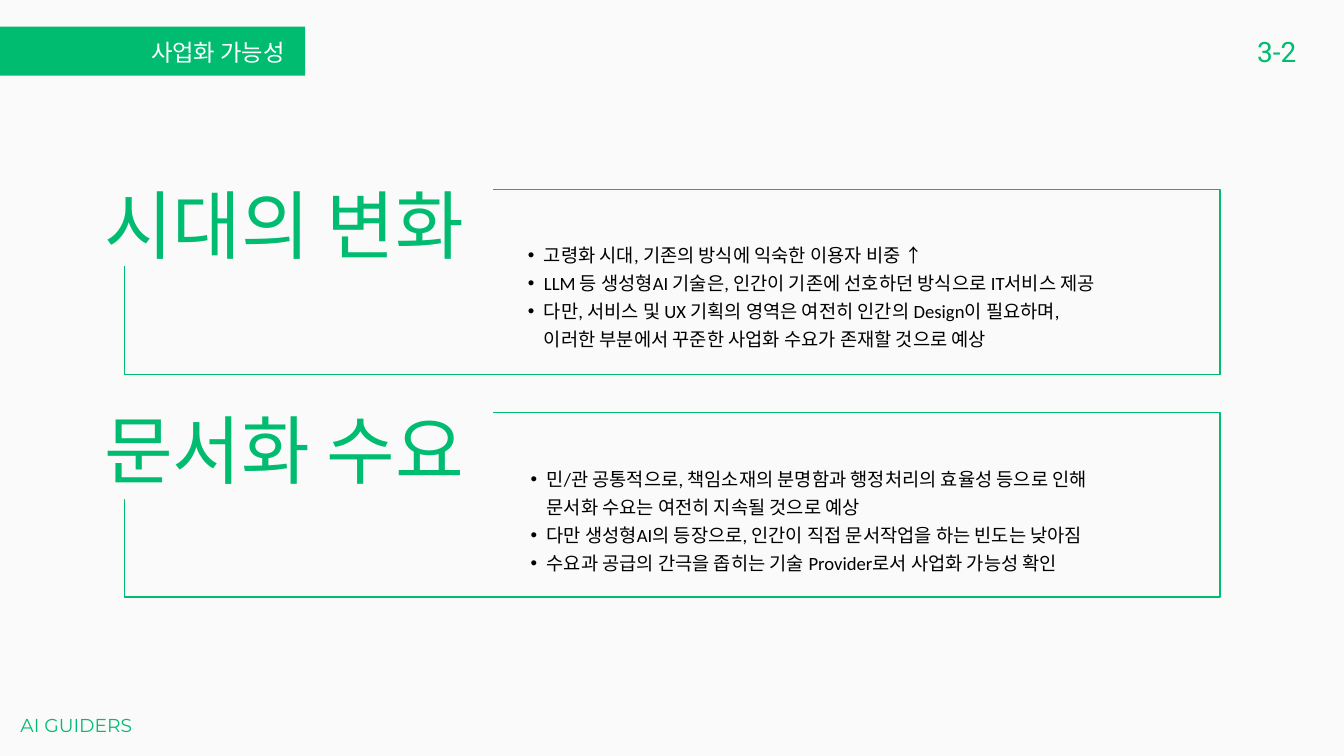
"""Build the slide on business potential: two framed topics with bullet points."""
import dataclasses

import lxml.etree
import pptx
import pptx.dml.color
import pptx.enum.shapes
import pptx.enum.text
import pptx.oxml.ns
import pptx.util

EMU_PER_PX = 9525
ALIGN = pptx.enum.text.PP_ALIGN


def px(length):
    return pptx.util.Emu(length * EMU_PER_PX)


@dataclasses.dataclass(frozen=True)
class Theme:
    green: str = "00BC70"
    paper: str = "FAFAFA"
    ink: str = "000000"
    white: str = "FFFFFF"
    heading_font: str = "Montserrat"
    label_font: str = "Roboto"
    body_font: str = "Calibri"
    heading_size: int = 80
    number_size: int = 30
    label_size: int = 25
    body_size: int = 20
    frame_width: float = 1.5


def rgb(code):
    return pptx.dml.color.RGBColor.from_string(code)


def write(paragraph, text, *, font, size, color, leading, align=ALIGN.LEFT):
    paragraph.text = text
    paragraph.alignment = align
    paragraph.line_spacing = pptx.util.Pt(leading)
    for run in paragraph.runs:
        run.font.name = font
        run.font.size = pptx.util.Pt(size)
        run.font.color.rgb = rgb(color)


class SlideBuilder:
    def __init__(self, slide, theme):
        self.slide = slide
        self.theme = theme
        slide.background.fill.solid()
        slide.background.fill.fore_color.rgb = rgb(theme.paper)

    def rectangle(self, box, fill=None, line=None):
        shape = self.slide.shapes.add_shape(
            pptx.enum.shapes.MSO_SHAPE.RECTANGLE, *map(px, box))
        shape.shadow.inherit = False
        if fill:
            shape.fill.solid()
            shape.fill.fore_color.rgb = rgb(fill)
        else:
            shape.fill.background()
        if line:
            shape.line.color.rgb = rgb(line)
            shape.line.width = pptx.util.Pt(self.theme.frame_width)
        else:
            shape.line.fill.background()

    def text_frame(self, box):
        frame = self.slide.shapes.add_textbox(*map(px, box)).text_frame
        frame.word_wrap = True
        frame.margin_left = frame.margin_right = 0
        frame.margin_top = frame.margin_bottom = 0
        return frame

    def label(self, box, text, **style):
        write(self.text_frame(box).paragraphs[0], text, **style)

    def bullets(self, box, points):
        frame = self.text_frame(box)
        for index, point in enumerate(points):
            paragraph = frame.add_paragraph() if index else frame.paragraphs[0]
            write(paragraph, point, font=self.theme.body_font,
                  size=self.theme.body_size, color=self.theme.ink, leading=30)
            paragraph.level = 1
            properties = paragraph._p.get_or_add_pPr()
            properties.set("marL", str(px(45)))
            properties.set("indent", str(px(-23)))
            for tag, key, value in (("a:buFont", "typeface", "Arial"),
                                    ("a:buChar", "char", "•")):
                lxml.etree.SubElement(
                    properties, pptx.oxml.ns.qn(tag)).set(key, value)

    def heading(self, mask_top, text_top, text):
        self.rectangle((108, mask_top, 596, 148), fill=self.theme.paper)
        self.label((108, text_top, 596, 139), text,
                   font=self.theme.heading_font, size=self.theme.heading_size,
                   color=self.theme.green, leading=112, align=ALIGN.CENTER)


TOPICS = [
    dict(heading="시대의 변화", frame_top=271, mask_top=232, heading_top=234,
         points_box=(732, 341, 1010, 158),
         points=["고령화 시대, 기존의 방식에 익숙한 이용자 비중 ↑",
                 "LLM 등 생성형AI 기술은, 인간이 기존에 선호하던 방식으로 IT서비스 제공",
                 "다만, 서비스 및 UX 기획의 영역은 여전히 인간의 Design이 필요하며,\v"
                 "이러한 부분에서 꾸준한 사업화 수요가 존재할 것으로 예상"]),
    dict(heading="문서화 수요", frame_top=589, mask_top=565, heading_top=556,
         points_box=(736, 660, 1034, 158),
         points=["민/관 공통적으로, 책임소재의 분명함과 행정처리의 효율성 등으로 인해\v"
                 "문서화 수요는 여전히 지속될 것으로 예상",
                 "다만 생성형AI의 등장으로, 인간이 직접 문서작업을 하는 빈도는 낮아짐",
                 "수요과 공급의 간극을 좁히는 기술 Provider로서 사업화 가능성 확인"]),
]


def main():
    deck = pptx.Presentation()
    deck.slide_width, deck.slide_height = px(1920), px(1080)
    theme = Theme()
    builder = SlideBuilder(deck.slides.add_slide(deck.slide_layouts[6]), theme)

    builder.rectangle((0, 38, 436, 70), fill=theme.green)
    for topic in TOPICS:
        builder.rectangle((178, topic["frame_top"], 1565, 264), line=theme.green)
        builder.bullets(topic["points_box"], topic["points"])
        builder.heading(topic["mask_top"], topic["heading_top"], topic["heading"])

    builder.label((-29, 48, 436, 44), "사업화 가능성", font=theme.label_font,
                  size=theme.label_size, color=theme.white, leading=35,
                  align=ALIGN.RIGHT)
    builder.label((1793, 42, 62, 53), "3-2", font=theme.label_font,
                  size=theme.number_size, color=theme.green, leading=42,
                  align=ALIGN.CENTER)
    builder.label((12, 1015, 194, 35), "AI GUIDERS", font=theme.heading_font,
                  size=theme.body_size, color=theme.green, leading=28,
                  align=ALIGN.CENTER)
    deck.save("out.pptx")


if __name__ == "__main__":
    main()
